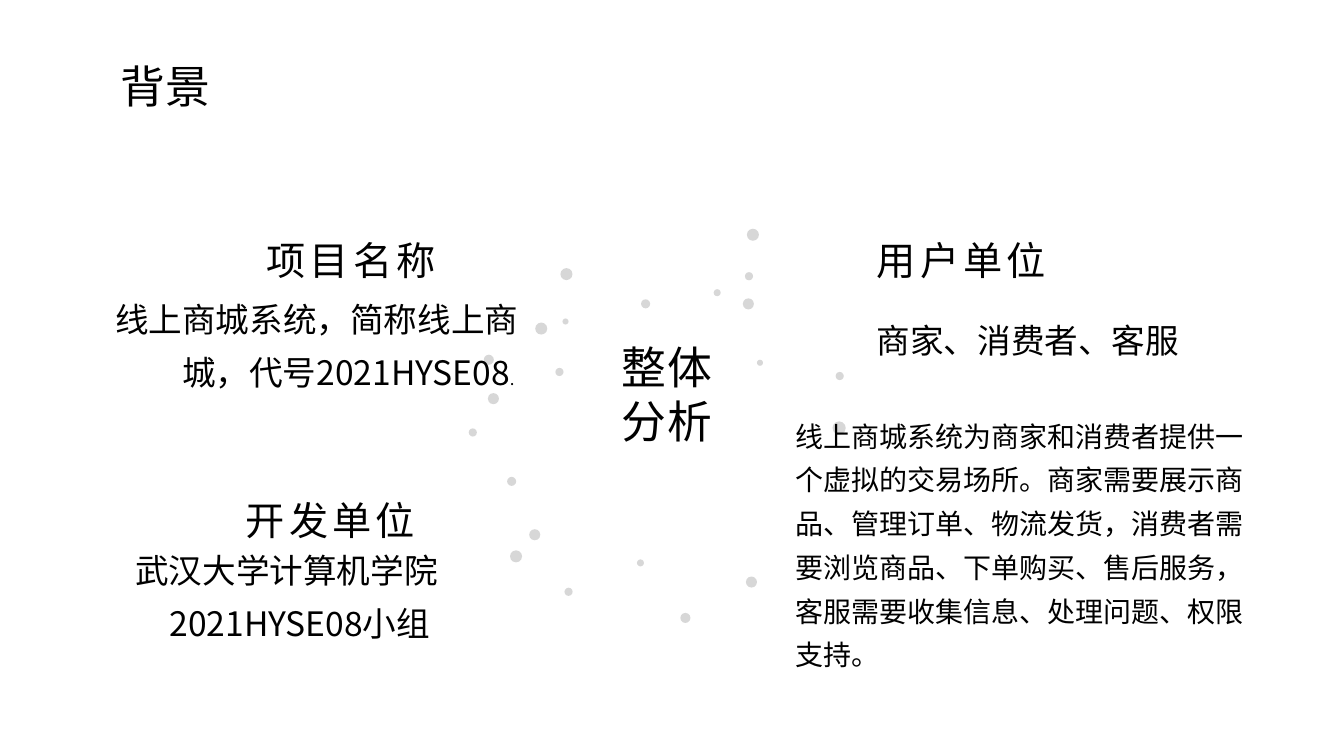
from dataclasses import dataclass

from lxml import etree
from pptx import Presentation
from pptx import util as u
from pptx.dml.color import RGBColor
from pptx.enum import shapes, text
from pptx.oxml.ns import qn


@dataclass(frozen=True)
class Theme:
    ink: str = "000000"
    dot: str = "7F7F7F"
    disc: str = "FFFFFF"
    dot_opacity: int = 31
    disc_opacity: int = 75
    display_font: str = "Noto Sans CJK JP"
    body_font: str = "Noto Sans CJK SC"
    title: int = 32
    heading: int = 28
    body: int = 24
    detail: int = 20
    stop: int = 12
    loose: float = 1.3


theme = Theme()
LEFT, RIGHT = text.PP_ALIGN.LEFT, text.PP_ALIGN.RIGHT
HEADING_SIZE = (164, 51)

DOTS = [
    (401.8, 227.5, 4.3), (540.7, 257, 4.3), (455, 399.6, 5), (509.8, 206.6, 5),
    (403.2, 419.8, 5.8), (596.9, 265.7, 5.8), (532.1, 194.4, 5.8), (457.9, 213.8, 6.5),
    (362.2, 340.6, 6.5), (345.6, 253.4, 7.2), (378, 378, 7.9), (532.8, 411.8, 7.9),
    (530.6, 213.1, 7.9), (348.5, 280.8, 7.9), (533.5, 163.4, 8.6), (396.7, 262.8, 5.8),
    (364.3, 393.1, 8.6), (594.7, 301, 9.4), (486, 437.8, 7.2), (334.8, 306, 5.8),
    (400.3, 191.5, 8.6), (382.3, 230.4, 8.6),
]
DISC = (416.2, 221.8, 119.5)

HEADINGS = [
    ("项目名称", 167.8, 155.5, RIGHT, 20.7),
    ("开发单位", 168.5, 340.6, LEFT, 7.2),
    ("用户单位", 619.2, 155.5, LEFT, 7.2),
]
BODIES = [
    ([("线上商城系统，简称线上商城，代号2021HYSE08", theme.body), (". ", theme.stop)],
     (53.3, 201.6, 324, 82.8), RIGHT),
    ([("武汉大学计算机学院2021HYSE08小组 ", theme.body)],
     (88.6, 380.9, 231.1, 82.8), RIGHT),
    ([("商家、消费者、客服", theme.body)], (619.2, 216, 267.8, 44.6), LEFT),
    ([("线上商城系统为商家和消费者提供一个虚拟的交易场所。商家需要展示商品、管理订单、"
       "物流发货，消费者需要浏览商品、下单购买、售后服务，客服需要收集信息、处理问题、"
       "权限支持。", theme.detail)], (560.9, 288.7, 350.6, 195.8), LEFT),
]
CENTRE = (["整体", "分析"], (437, 239, 97.2, 85))
TITLE = ("背景", (79.2, 38.2, 78.5, 46.1))


def add_circle(slide, left, top, diameter, colour, opacity):
    shape = slide.shapes.add_shape(
        shapes.MSO_SHAPE.OVAL, u.Pt(left), u.Pt(top), u.Pt(diameter), u.Pt(diameter))
    shape.shadow.inherit = False
    shape.line.fill.background()
    shape.fill.solid()
    shape.fill.fore_color.rgb = RGBColor.from_string(colour)
    colour_element = next(shape.fill._xPr.iter(qn("a:srgbClr")))
    etree.SubElement(colour_element, qn("a:alpha")).set("val", str(opacity * 1000))


def add_text(slide, box, paragraphs, font, align=LEFT, line_spacing=None,
             tracking=0, wrap=True, right_inset=7.2):
    shape = slide.shapes.add_textbox(*(u.Pt(length) for length in box))
    frame = shape.text_frame
    frame.word_wrap = wrap
    frame.margin_right = u.Pt(right_inset)
    for index, runs in enumerate(paragraphs):
        paragraph = frame.add_paragraph() if index else frame.paragraphs[0]
        paragraph.alignment = align
        if line_spacing:
            paragraph.line_spacing = line_spacing
        for words, size in runs:
            run = paragraph.add_run()
            run.text = words
            run.font.size = u.Pt(size)
            run.font.color.rgb = RGBColor.from_string(theme.ink)
            run.font.name = font
            properties = run.font._element
            etree.SubElement(properties, qn("a:ea")).set("typeface", font)
            if tracking:
                properties.set("spc", str(tracking * 100))


def main():
    presentation = Presentation()
    presentation.slide_width, presentation.slide_height = u.Pt(960), u.Pt(540)
    slide = presentation.slides.add_slide(presentation.slide_layouts[6])

    for dot in DOTS:
        add_circle(slide, *dot, theme.dot, theme.dot_opacity)
    for words, left, top, align, right_inset in HEADINGS:
        add_text(slide, (left, top, *HEADING_SIZE), [[(words, theme.heading)]],
                 theme.display_font, align, theme.loose, 3, right_inset=right_inset)
    for runs, box, align in BODIES:
        add_text(slide, box, [runs], theme.body_font, align, theme.loose)

    add_circle(slide, *DISC, theme.disc, theme.disc_opacity)
    lines, box = CENTRE
    add_text(slide, box, [[(line, theme.title)] for line in lines],
             theme.display_font, tracking=1)
    words, box = TITLE
    add_text(slide, box, [[(words, theme.title)]], theme.body_font, wrap=False)

    presentation.save("out.pptx")


if __name__ == "__main__":
    main()
